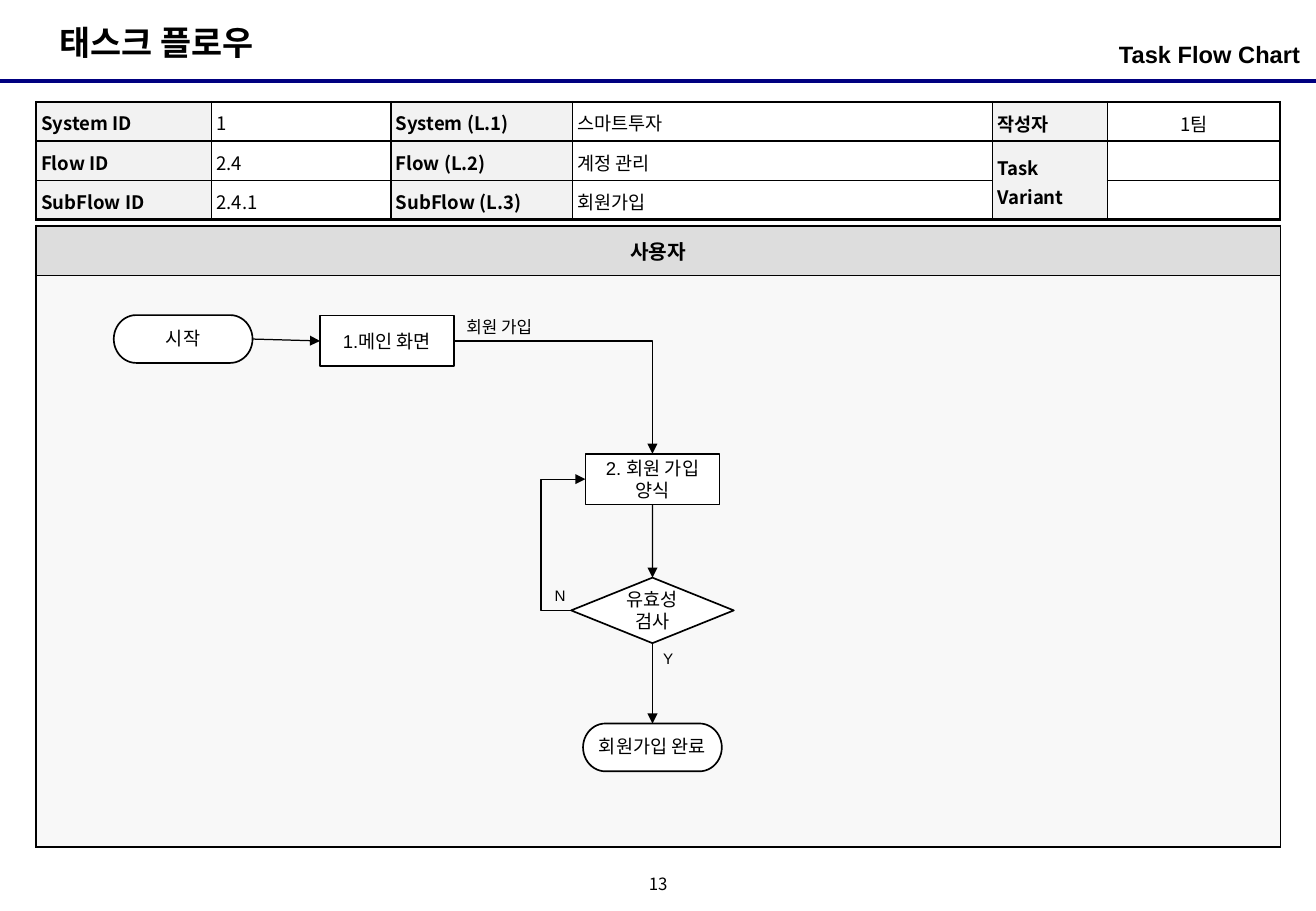
from lxml.etree import SubElement
from pptx import Presentation
from pptx.dml.color import RGBColor
from pptx.enum.shapes import MSO_CONNECTOR, MSO_SHAPE
from pptx.enum.text import MSO_ANCHOR, MSO_AUTO_SIZE, PP_ALIGN
from pptx.oxml.ns import qn
from pptx.util import Cm, Pt

ARIAL, NOTO = "Arial", "Noto Sans CJK KR"
BLACK, WHITE, NAVY = "000000", "FFFFFF", "000080"
LABEL_FILL, HEADER_FILL, LANE_FILL = "F2F2F2", "DDDDDD", "F8F8F8"
TABLE_LEFT, TABLE_WIDTH = 0.76, 26


def color(hex_value):
    return RGBColor.from_string(hex_value)


def set_format(target, values):
    for name, value in values.items():
        setattr(target, name, value)


class FlowSlide:
    """Holds the style and the current slide."""

    def __init__(self, presentation):
        self.slide = presentation.slides.add_slide(presentation.slide_layouts[1])
        self.shapes = self.slide.shapes

    def add_text(self, frame, text, size, font=ARIAL, bold=False,
                 align=PP_ALIGN.LEFT, spacing=1.0):
        paragraph = frame.paragraphs[0]
        set_format(paragraph, {"alignment": align, "line_spacing": spacing,
                               "space_before": Pt(0)})
        if not text:
            SubElement(paragraph._p, qn("a:endParaRPr"), sz=str(size * 100))
            return
        run = paragraph.add_run()
        run.text = text
        set_format(run.font, {"size": Pt(size), "bold": bold, "name": font})
        run.font.color.rgb = color(BLACK)
        SubElement(run.font._element, qn("a:ea"), typeface=NOTO)

    def frame(self, shape, margin_x, margin_y, anchor):
        frame = shape.text_frame
        set_format(frame, {
            "auto_size": MSO_AUTO_SIZE.NONE, "word_wrap": True,
            "margin_left": Cm(margin_x), "margin_right": Cm(margin_x),
            "margin_top": Cm(margin_y), "margin_bottom": Cm(margin_y),
            "vertical_anchor": anchor})
        return frame

    def placeholder(self, index, box, text, size, margin_x, align):
        shape = self.slide.placeholders[index]
        set_format(shape, dict(zip(("left", "top", "width", "height"), map(Cm, box))))
        frame = self.frame(shape, margin_x, 0.13, MSO_ANCHOR.TOP)
        properties = frame.paragraphs[0]._p.get_or_add_pPr()
        for name in ("marL", "indent"):
            properties.set(name, "0")
        SubElement(properties, qn("a:buNone"))
        self.add_text(frame, text, size, bold=True, align=align)

    def label(self, box, text, size, font=ARIAL, align=PP_ALIGN.CENTER,
              anchor=MSO_ANCHOR.MIDDLE, margins=(0.25, 0.13), spacing=1.0):
        shape = self.shapes.add_textbox(*map(Cm, box))
        self.add_text(self.frame(shape, *margins, anchor), text, size, font,
                      align=align, spacing=spacing)

    def node(self, kind, center_x, top, width, height, text, spacing=1.0):
        shape = self.shapes.add_shape(kind, Cm(center_x - width / 2), Cm(top),
                                      Cm(width), Cm(height))
        shape.shadow.inherit = False
        shape.fill.solid()
        shape.fill.fore_color.rgb = color(WHITE)
        shape.line.color.rgb = color(BLACK)
        shape.line.width = Pt(1)
        self.add_text(self.frame(shape, 0.05, 0, MSO_ANCHOR.MIDDLE), text, 11,
                      align=PP_ALIGN.CENTER, spacing=spacing)
        return shape

    def line(self, begin, end, kind=MSO_CONNECTOR.STRAIGHT, line_color=BLACK,
             width=0.75, arrow=True):
        connector = self.shapes.add_connector(kind, *begin, *end)
        connector.line.color.rgb = color(line_color)
        connector.line.width = Pt(width)
        if arrow:
            SubElement(connector.line._get_or_add_ln(), qn("a:tailEnd"), type="triangle")
        SubElement(connector._element.spPr, qn("a:effectLst"))
        return connector

    def arrow(self, source, source_side, target, target_side):
        connector = self.line((0, 0), (0, 0))
        connector.begin_connect(source, source_side)
        connector.end_connect(target, target_side)

    def elbow(self, begin, end, preset, adjustment=None):
        connector = self.line(begin, end, MSO_CONNECTOR.ELBOW)
        geometry = connector._element.spPr.find(qn("a:prstGeom"))
        geometry.set("prst", preset)
        if adjustment is not None:
            SubElement(geometry.find(qn("a:avLst")), qn("a:gd"), name="adj1",
                       fmla=f"val {round(adjustment * 100000)}")

    def table(self, top, widths, heights):
        table = self.shapes.add_table(
            len(heights), len(widths), Cm(TABLE_LEFT), Cm(top),
            Cm(sum(widths)), Cm(sum(heights))).table
        set_format(table, {"first_row": False, "horz_banding": False})
        for column, width in zip(table.columns, widths):
            column.width = Cm(width)
        for row, height in zip(table.rows, heights):
            row.height = Cm(height)
        return table

    def cell(self, cell, text, size, fill, borders, margins, anchor, **style):
        margin_x, margin_y = margins
        set_format(cell, {
            "margin_left": Cm(margin_x), "margin_right": Cm(margin_x),
            "margin_top": Cm(margin_y), "margin_bottom": Cm(margin_y),
            "vertical_anchor": anchor})
        for side, width in zip("LRTB", borders):
            line = SubElement(cell._tc.get_or_add_tcPr(), qn(f"a:ln{side}"),
                              w=str(Pt(width)))
            SubElement(SubElement(line, qn("a:solidFill")), qn("a:srgbClr"), val=BLACK)
        cell.fill.solid()
        cell.fill.fore_color.rgb = color(fill)
        self.add_text(cell.text_frame, text, size, **style)


def side_point(shape, side):
    middle_x = shape.left + shape.width // 2
    middle_y = shape.top + shape.height // 2
    return {"top": (middle_x, shape.top), "left": (shape.left, middle_y),
            "right": (shape.left + shape.width, middle_y)}[side]


def main():
    presentation = Presentation()
    set_format(presentation, {"slide_width": Cm(27.51), "slide_height": Cm(19.05)})
    flow = FlowSlide(presentation)

    # Heading and page number
    flow.placeholder(0, (1, 0.33, 5.03, 1.12), "태스크 플로우", 20, 0.25, PP_ALIGN.LEFT)
    flow.placeholder(1, (18.77, 0.71, 8.41, 0.99), "Task Flow Chart", 14, 0, PP_ALIGN.RIGHT)
    flow.line((0, Cm(1.7)), (presentation.slide_width, Cm(1.7)),
              line_color=NAVY, width=2.25, arrow=False)
    flow.label((13.34, 18.21, 0.84, 0.64), "13", 10, NOTO, margins=(0, 0), spacing=0.8)

    # User lane
    lane = flow.table(4.72, [TABLE_WIDTH], [1.04, 11.96])
    lane_rows = [("사용자", HEADER_FILL, (1.5, 0.75, 1.5, 0.75)),
                 ("", LANE_FILL, (1.5, 0.75, 0.75, 1.5))]
    for row, (text, fill, borders) in enumerate(lane_rows):
        flow.cell(lane.cell(row, 0), text, 12, fill, borders, (0.25, 0.13),
                  MSO_ANCHOR.MIDDLE, bold=True, align=PP_ALIGN.CENTER)

    # Flow information
    rows = [("System ID", "1", "System (L.1)", "스마트투자", "작성자", "1팀"),
            ("Flow ID", "2.4", "Flow (L.2)", "계정 관리", "Task Variant", ""),
            ("SubFlow ID", "2.4.1", "SubFlow (L.3)", "회원가입", "", "")]
    info = flow.table(2.13, [3.66, 3.75, 3.8, 8.78, 2.4, 3.61], [0.8] * 3)
    info.cell(1, 4).merge(info.cell(2, 4))
    for row, texts in enumerate(rows):
        for column, text in enumerate(texts):
            is_label = column % 2 == 0
            outer = (column == 0, column == 5, row == 0,
                     row == 2 or (row, column) == (1, 4))
            flow.cell(info.cell(row, column), text, 11,
                      LABEL_FILL if is_label else WHITE,
                      [1.5 if edge else 1 for edge in outer], (0.1, 0.1),
                      MSO_ANCHOR.MIDDLE if column > 3 else MSO_ANCHOR.TOP,
                      font=NOTO, bold=is_label, spacing=1.1,
                      align=PP_ALIGN.CENTER if column == 5 else PP_ALIGN.LEFT)

    # Flow steps
    axis = 13.64
    terminal, step = (2.9, 1), (2.8, 1.06)
    start = flow.node(MSO_SHAPE.FLOWCHART_TERMINATOR, 3.83, 6.59, *terminal, "시작", 0.9)
    home = flow.node(MSO_SHAPE.RECTANGLE, 8.09, 6.6, *step, "1.메인 화면")
    form = flow.node(MSO_SHAPE.RECTANGLE, axis, 9.49, *step, "2. 회원 가입 양식")
    check = flow.node(MSO_SHAPE.FLOWCHART_DECISION, axis, 12.08, 3.4, 1.37, "유효성 검사")
    done = flow.node(MSO_SHAPE.FLOWCHART_TERMINATOR, axis, 15.13, *terminal,
                     "회원가입 완료", 0.9)

    # Flow arrows
    flow.arrow(start, 3, home, 1)
    flow.arrow(form, 2, check, 0)
    flow.arrow(check, 2, done, 0)
    flow.elbow(side_point(home, "right"), side_point(form, "top"), "bentConnector2")
    flow.elbow(side_point(check, "left"), side_point(form, "left"), "bentConnector3", -2.1)

    # Arrow labels
    flow.label((9.5, 6.5, 4.14, 0.69), "회원 가입", 10, align=PP_ALIGN.LEFT,
               anchor=MSO_ANCHOR.TOP)
    flow.label((11.33, 12.14, 0.76, 0.64), "N", 9)
    flow.label((13.59, 13.44, 0.76, 0.64), "Y", 9)

    presentation.save("out.pptx")


if __name__ == "__main__":
    main()
